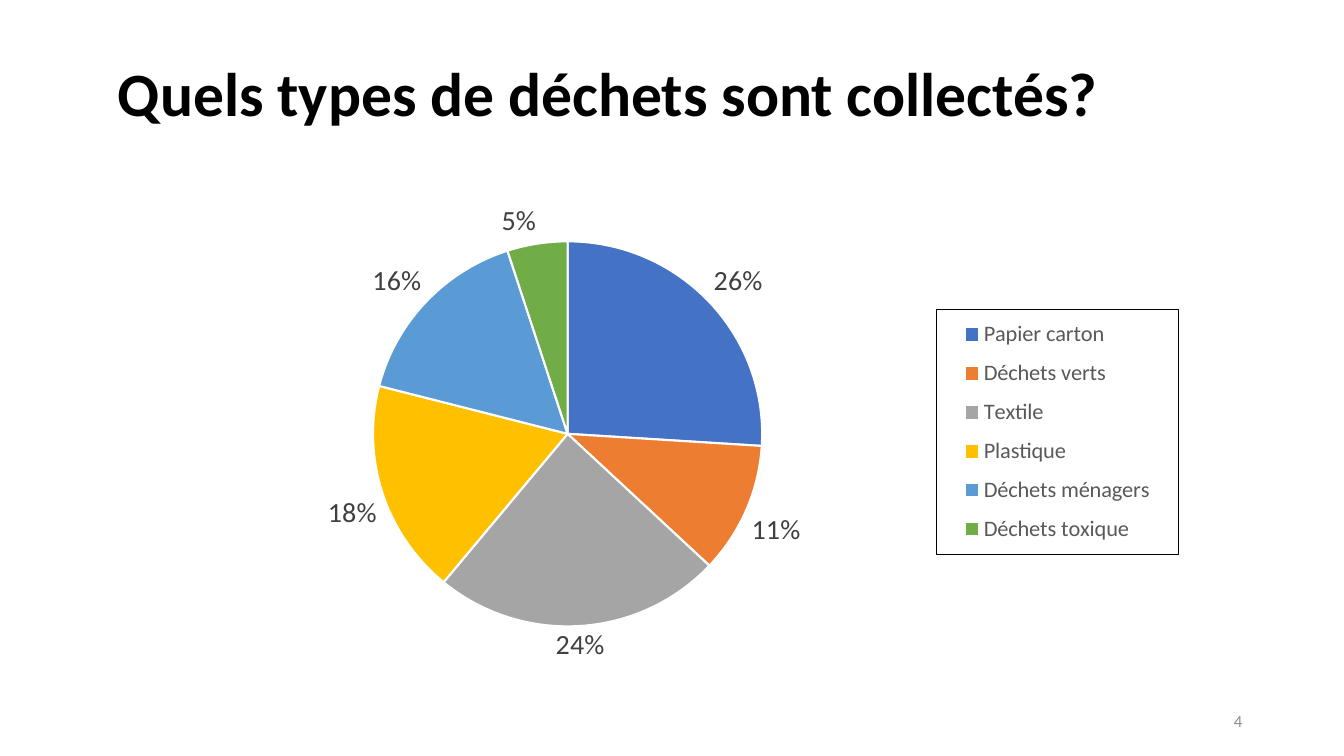
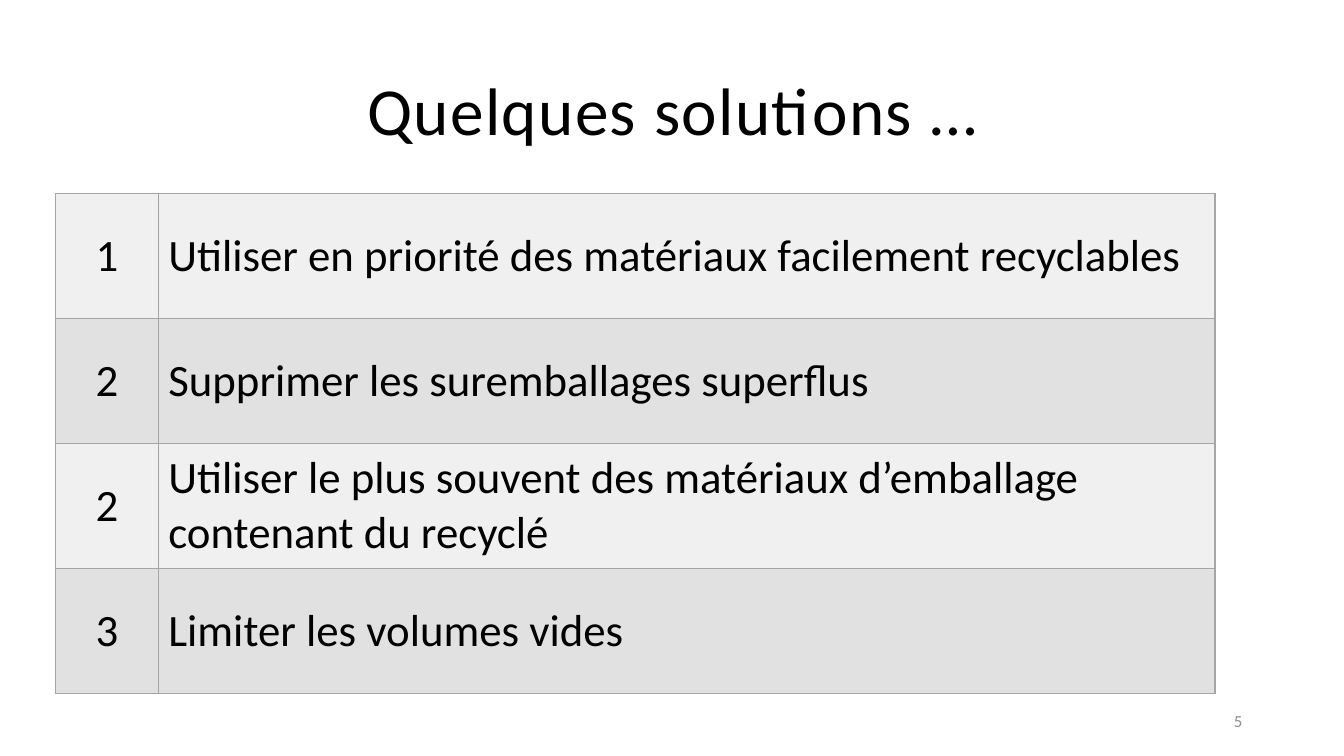
from dataclasses import dataclass, field

from pptx import Presentation
from pptx.chart.data import CategoryChartData
from pptx.dml.color import RGBColor
from pptx.enum.chart import XL_CHART_TYPE as ChartType
from pptx.enum.chart import XL_LABEL_POSITION as LabelPosition
from pptx.enum.chart import XL_LEGEND_POSITION as LegendPosition
from pptx.enum.shapes import MSO_SHAPE as Preset
from pptx.enum.text import MSO_ANCHOR as Anchor
from pptx.enum.text import PP_ALIGN as Align
from pptx.oxml import parse_xml
from pptx.oxml.ns import nsdecls, qn
from pptx.util import Inches, Pt

FONT = "Calibri"
BLACK = RGBColor(0x00, 0x00, 0x00)
WHITE = RGBColor(0xFF, 0xFF, 0xFF)
NUMBER_GREY = RGBColor(0x8C, 0x8C, 0x8C)
LEGEND_GREY = RGBColor(0x59, 0x59, 0x59)
LABEL_GREY = RGBColor(0x40, 0x40, 0x40)
BORDER_GREY = RGBColor(0xA5, 0xA5, 0xA5)
ROW_FILLS = (RGBColor(0xF0, 0xF0, 0xF0), RGBColor(0xE1, 0xE1, 0xE1))

MARGIN = 0.92
CONTENT_WIDTH = 11.5


@dataclass(frozen=True)
class Box:
    left: float
    top: float
    width: float
    height: float

    def lengths(self) -> tuple:
        return tuple(map(Inches, (self.left, self.top, self.width, self.height)))


@dataclass(frozen=True)
class TextStyle:
    size: float
    color: RGBColor = BLACK
    align: Align = Align.LEFT
    font: dict = field(default_factory=dict)
    paragraph: dict = field(default_factory=dict)
    spacing: float = 0
    fill: RGBColor | None = None


@dataclass(frozen=True)
class Waste:
    label: str
    percent: int
    color: RGBColor


@dataclass(frozen=True)
class Solution:
    number: str
    advice: str


TITLE_LINE = {"line_spacing": 0.9}
BOLD_TITLE = TextStyle(44, align=Align.CENTER, font={"bold": True},
                       paragraph=TITLE_LINE, fill=WHITE)
SPACED_TITLE = TextStyle(48, align=Align.CENTER, paragraph=TITLE_LINE, spacing=1)
PAGE_NUMBER = TextStyle(12, NUMBER_GREY, Align.RIGHT)
ROW_NUMBER = TextStyle(32, align=Align.CENTER)
ROW_ADVICE = TextStyle(32)

NUMBER_BOX = Box(9.42, 6.95, 3, 0.4)
CHART_BOX = Box(MARGIN, 1.85, CONTENT_WIDTH, 4.76)
PIE_BOX = Box(3.7, 2.4, 3.86, 3.86)
LEGEND_BOX = Box(9.29, 3.08, 2.4, 2.46)
TABLE_BOX = Box(0.55, 1.92, CONTENT_WIDTH, 4.96)
NUMBER_COLUMN = 1.02

WASTES = (
    Waste("Papier carton", 26, RGBColor(0x44, 0x72, 0xC4)),
    Waste("Déchets verts", 11, RGBColor(0xED, 0x7D, 0x31)),
    Waste("Textile", 24, RGBColor(0xA5, 0xA5, 0xA5)),
    Waste("Plastique", 18, RGBColor(0xFF, 0xC0, 0x00)),
    Waste("Déchets ménagers", 16, RGBColor(0x5B, 0x9B, 0xD5)),
    Waste("Déchets toxique", 5, RGBColor(0x70, 0xAD, 0x47)),
)
SOLUTIONS = (
    Solution("1", "Utiliser en priorité des matériaux facilement recyclables"),
    Solution("2", "Supprimer les suremballages superflus"),
    Solution("2", "Utiliser le plus souvent des matériaux d’emballage contenant du recyclé"),
    Solution("3", "Limiter les volumes vides"),
)


def apply_format(target, values: dict) -> None:
    for attribute, value in values.items():
        setattr(target, attribute, value)


def format_font(font, size: float, color: RGBColor, **extra) -> None:
    apply_format(font, {"name": FONT, "size": Pt(size), **extra})
    font.color.rgb = color


def write_text(frame, text: str, style: TextStyle) -> None:
    paragraph = frame.paragraphs[0]
    apply_format(paragraph, {"alignment": style.align, **style.paragraph})
    run = paragraph.add_run()
    run.text = text
    format_font(run.font, style.size, style.color, **style.font)
    if style.spacing:
        run.font._element.set("spc", str(int(style.spacing * 100)))


def add_text(slide, box: Box, text: str, style: TextStyle) -> None:
    """Add a text box, or a rectangle where the style has a fill."""
    if style.fill is None:
        holder = slide.shapes.add_textbox(*box.lengths())
    else:
        holder = slide.shapes.add_shape(Preset.RECTANGLE, *box.lengths())
        holder.shadow.inherit = False
        holder.fill.solid()
        holder.fill.fore_color.rgb = style.fill
        holder.line.fill.background()
    frame = holder.text_frame
    apply_format(frame, {"word_wrap": True, "vertical_anchor": Anchor.MIDDLE})
    write_text(frame, text, style)


def add_page(prs, title: str, title_box: Box, style: TextStyle, number: int):
    """Add a blank slide with its title and page number."""
    slide = prs.slides.add_slide(prs.slide_layouts[6])
    slide.background.fill.solid()
    slide.background.fill.fore_color.rgb = WHITE
    add_text(slide, title_box, title, style)
    add_text(slide, NUMBER_BOX, str(number), PAGE_NUMBER)
    return slide


def manual_layout(part: Box, target: str = ""):
    """Build the layout element that places a part within the chart."""
    inner = f'<c:layoutTarget val="{target}"/>' if target else ""
    return parse_xml(
        f'<c:layout {nsdecls("c")}><c:manualLayout>{inner}'
        '<c:xMode val="edge"/><c:yMode val="edge"/>'
        f'<c:x val="{(part.left - CHART_BOX.left) / CHART_BOX.width}"/>'
        f'<c:y val="{(part.top - CHART_BOX.top) / CHART_BOX.height}"/>'
        f'<c:w val="{part.width / CHART_BOX.width}"/>'
        f'<c:h val="{part.height / CHART_BOX.height}"/>'
        "</c:manualLayout></c:layout>"
    )


def format_legend(chart) -> None:
    chart.has_legend = True
    legend = chart.legend
    apply_format(legend, {"position": LegendPosition.RIGHT, "include_in_layout": False})
    format_font(legend.font, 16, LEGEND_GREY)
    element = legend._element
    element.find(qn("c:legendPos")).addnext(manual_layout(LEGEND_BOX))
    frame = parse_xml(
        f'<c:spPr {nsdecls("c", "a")}><a:noFill/><a:ln w="{Pt(0.75)}">'
        f'<a:solidFill><a:srgbClr val="{BLACK}"/></a:solidFill></a:ln></c:spPr>'
    )
    element.find(qn("c:txPr")).addprevious(frame)


def add_waste_pie(slide) -> None:
    data = CategoryChartData()
    data.categories = [waste.label for waste in WASTES]
    data.add_series("Series 1", [waste.percent for waste in WASTES])
    chart = slide.shapes.add_chart(ChartType.PIE, *CHART_BOX.lengths(), data).chart
    chart.has_title = False
    format_font(chart.font, 10, BLACK)
    format_legend(chart)

    plot = chart.plots[0]
    plot.vary_by_categories = True
    plot_area = plot._element.getparent()
    for layout in plot_area.findall(qn("c:layout")):
        plot_area.remove(layout)
    plot_area.insert(0, manual_layout(PIE_BOX, "inner"))

    series = plot.series[0]
    for index, waste in enumerate(WASTES):
        slice_format = series.points[index].format
        slice_format.fill.solid()
        slice_format.fill.fore_color.rgb = waste.color
        slice_format.line.color.rgb = WHITE
        slice_format.line.width = Pt(1.5)

    labels = series.data_labels
    apply_format(labels, {
        "show_percentage": True,
        "show_value": False,
        "number_format": "0%",
        "number_format_is_linked": False,
        "position": LabelPosition.OUTSIDE_END,
    })
    format_font(labels.font, 20, LABEL_GREY)


def add_borders(cell) -> None:
    properties = cell._tc.get_or_add_tcPr()
    for side in ("lnL", "lnR", "lnT", "lnB"):
        properties.append(parse_xml(
            f'<a:{side} {nsdecls("a")} w="{Pt(1)}"><a:solidFill>'
            f'<a:srgbClr val="{BORDER_GREY}"/></a:solidFill></a:{side}>'
        ))


def add_solutions_table(slide) -> None:
    table = slide.shapes.add_table(len(SOLUTIONS), 2, *TABLE_BOX.lengths()).table
    apply_format(table, {"first_row": False, "horz_banding": False})
    table.columns[0].width = Inches(NUMBER_COLUMN)
    table.columns[1].width = Inches(TABLE_BOX.width - NUMBER_COLUMN)
    for index, solution in enumerate(SOLUTIONS):
        texts = ((solution.number, ROW_NUMBER), (solution.advice, ROW_ADVICE))
        for column, (text, style) in enumerate(texts):
            cell = table.cell(index, column)
            cell.vertical_anchor = Anchor.MIDDLE
            add_borders(cell)
            cell.fill.solid()
            cell.fill.fore_color.rgb = ROW_FILLS[index % len(ROW_FILLS)]
            write_text(cell.text_frame, text, style)


def main() -> None:
    prs = Presentation()
    prs.slide_width = Inches(13.33)
    prs.slide_height = Inches(7.5)

    waste_page = add_page(prs, "Quels types de déchets sont collectés?",
                          Box(MARGIN, 0.4, 10.23, 1.11), BOLD_TITLE, 4)
    add_waste_pie(waste_page)

    solutions_page = add_page(prs, "Quelques solutions …",
                              Box(MARGIN, 0.4, CONTENT_WIDTH, 1.45), SPACED_TITLE, 5)
    add_solutions_table(solutions_page)

    prs.save("out.pptx")


if __name__ == "__main__":
    main()
